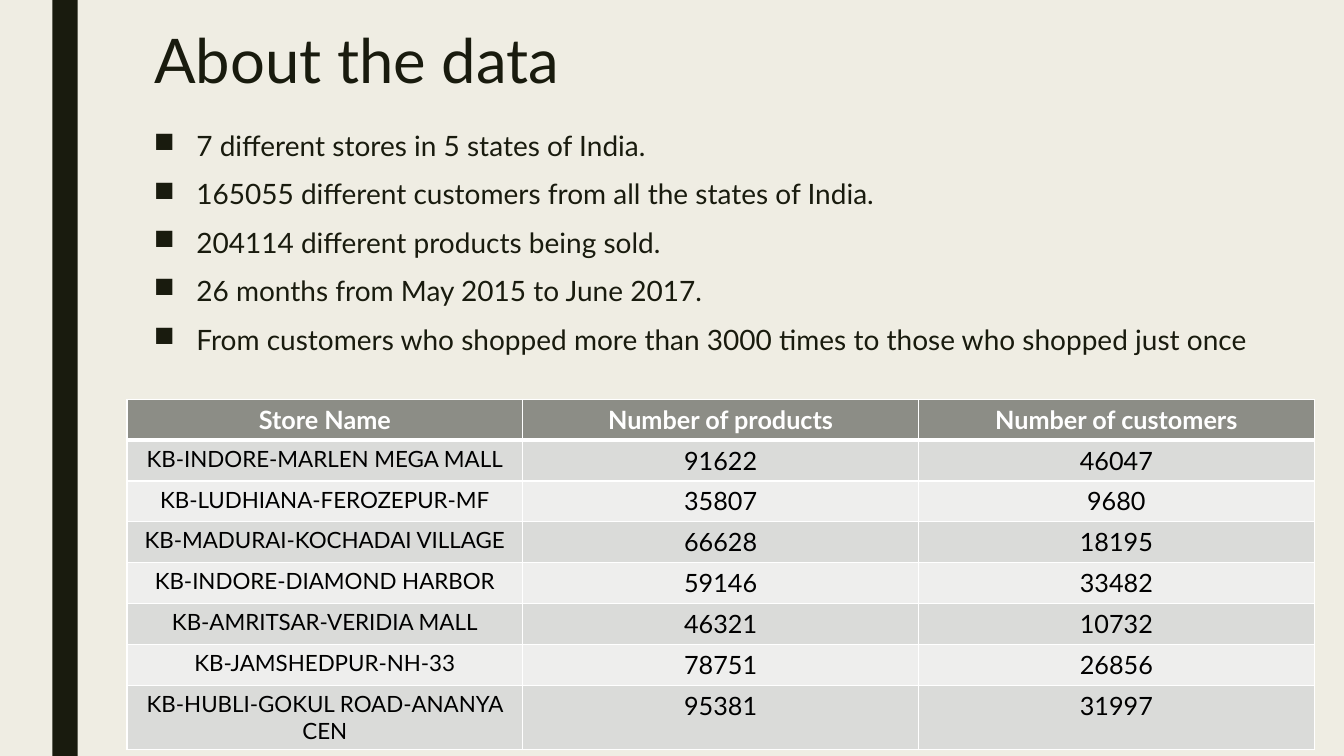
from lxml import etree
from pptx import Presentation
from pptx.dml.color import RGBColor
from pptx.enum.shapes import MSO_SHAPE
from pptx.enum.text import MSO_ANCHOR, PP_ALIGN
from pptx.oxml.ns import qn
from pptx.util import Cm, Pt

RECTANGLE = MSO_SHAPE.RECTANGLE
TOP = MSO_ANCHOR.TOP
LEFT, CENTER = PP_ALIGN.LEFT, PP_ALIGN.CENTER
TITLE_ONLY = 5

FONT = "Lato"
INK, PAPER, WHITE, BLACK = "191B0E", "EFEDE3", "FFFFFF", "000000"
HEADER_FILL, BANDS = "8C8D86", ("DADBD9", "EEEEED")

# Boxes are left, top, width, height in centimetres.
BAND_BOX = (1.32, 0, 0.64, 19.05)
TITLE_BOX = (3.63, 0.64, 26.67, 2.51)
FACTS_BOX = (3.63, 3.18, 28.12, 12.14)
STORES_BOX = (3.2, 10.06, 29.92, 8.24)

FACTS = [
    "7 different stores in 5 states of India.",
    "165055 different customers from all the states of India.",
    "204114 different products being sold.",
    "26 months from May 2015 to June 2017.",
    "From customers who shopped more than 3000 times to those who shopped just once",
]
HEADINGS = ("Store Name", "Number of products", "Number of customers")
STORES = [
    ("KB-INDORE-MARLEN MEGA MALL", 91622, 46047),
    ("KB-LUDHIANA-FEROZEPUR-MF", 35807, 9680),
    ("KB-MADURAI-KOCHADAI VILLAGE", 66628, 18195),
    ("KB-INDORE-DIAMOND HARBOR", 59146, 33482),
    ("KB-AMRITSAR-VERIDIA MALL", 46321, 10732),
    ("KB-JAMSHEDPUR-NH-33", 78751, 26856),
    ("KB-HUBLI-GOKUL ROAD-ANANYA CEN", 95381, 31997),
]


def color(value):
    """Turn a hex string into a colour."""
    return RGBColor.from_string(value)


def set_fill(target, value):
    """Give a shape, cell or background a solid fill."""
    target.fill.solid()
    target.fill.fore_color.rgb = color(value)


def set_values(target, values):
    """Set every attribute named in a dict."""
    for name, value in values.items():
        setattr(target, name, value)


def write(paragraph, text, size, ink, bold=False, **layout):
    """Write one formatted run and lay out its paragraph."""
    run = paragraph.add_run()
    run.text = text
    set_values(run.font, {"name": FONT, "size": Pt(size), "bold": bold})
    run.font.color.rgb = color(ink)
    set_values(paragraph, layout)


def add_bullet(paragraph, indent):
    """Give a paragraph a square bullet with a hanging indent."""
    properties = paragraph._p.get_or_add_pPr()
    properties.set("marL", str(indent))
    properties.set("indent", str(-indent))
    etree.SubElement(properties, qn("a:buChar")).set("char", "■")


def set_borders(cell, widths):
    """Draw white cell borders from a dict of side and width in points."""
    properties = cell._tc.get_or_add_tcPr()
    for position, (side, width) in enumerate(widths.items()):
        line = etree.Element(qn("a:ln" + side), w=str(Pt(width)))
        fill = etree.SubElement(line, qn("a:solidFill"))
        etree.SubElement(fill, qn("a:srgbClr")).set("val", WHITE)
        properties.insert(position, line)


def add_band(slide, box):
    """Add the dark vertical band."""
    band = slide.shapes.add_shape(RECTANGLE, *map(Cm, box))
    band.shadow.inherit = False
    set_fill(band, INK)
    band.line.fill.background()


def add_title(slide, box):
    """Place and write the title placeholder."""
    title = slide.shapes.title
    set_values(title, dict(zip(("left", "top", "width", "height"), map(Cm, box))))
    set_values(title.text_frame, {"vertical_anchor": TOP, "word_wrap": True})
    write(title.text_frame.paragraphs[0], "About the data", 44, INK,
          alignment=LEFT, line_spacing=0.89)


def add_facts(slide, box):
    """Add the bulleted facts."""
    frame = slide.shapes.add_textbox(*map(Cm, box)).text_frame
    set_values(frame, {"vertical_anchor": TOP, "word_wrap": True})
    for index, fact in enumerate(FACTS):
        paragraph = frame.add_paragraph() if index else frame.paragraphs[0]
        write(paragraph, fact, 20, INK, line_spacing=0.94,
              space_before=Pt(10), space_after=Pt(2))
        add_bullet(paragraph, Cm(1.07))


def add_stores(slide, box):
    """Add the table of stores."""
    rows = [HEADINGS, *STORES]
    table = slide.shapes.add_table(len(rows), len(HEADINGS), *map(Cm, box)).table
    for row_index, values in enumerate(rows):
        header = row_index == 0
        fill = HEADER_FILL if header else BANDS[(row_index - 1) % 2]
        for column_index, value in enumerate(values):
            cell = table.cell(row_index, column_index)
            size = 18 if header or column_index else 16
            write(cell.text_frame.paragraphs[0], str(value), size,
                  WHITE if header else BLACK, bold=header, alignment=CENTER)
            set_fill(cell, fill)
            set_borders(cell, {"L": 1, "R": 1, "T": 3 if row_index == 1 else 1,
                               "B": 3 if header else 1})


def build():
    """Build and save the presentation."""
    presentation = Presentation()
    set_values(presentation, {"slide_width": Cm(33.87), "slide_height": Cm(19.05)})
    slide = presentation.slides.add_slide(presentation.slide_layouts[TITLE_ONLY])
    set_fill(slide.background, PAPER)
    add_band(slide, BAND_BOX)
    add_title(slide, TITLE_BOX)
    add_facts(slide, FACTS_BOX)
    add_stores(slide, STORES_BOX)
    presentation.save("out.pptx")


build()
